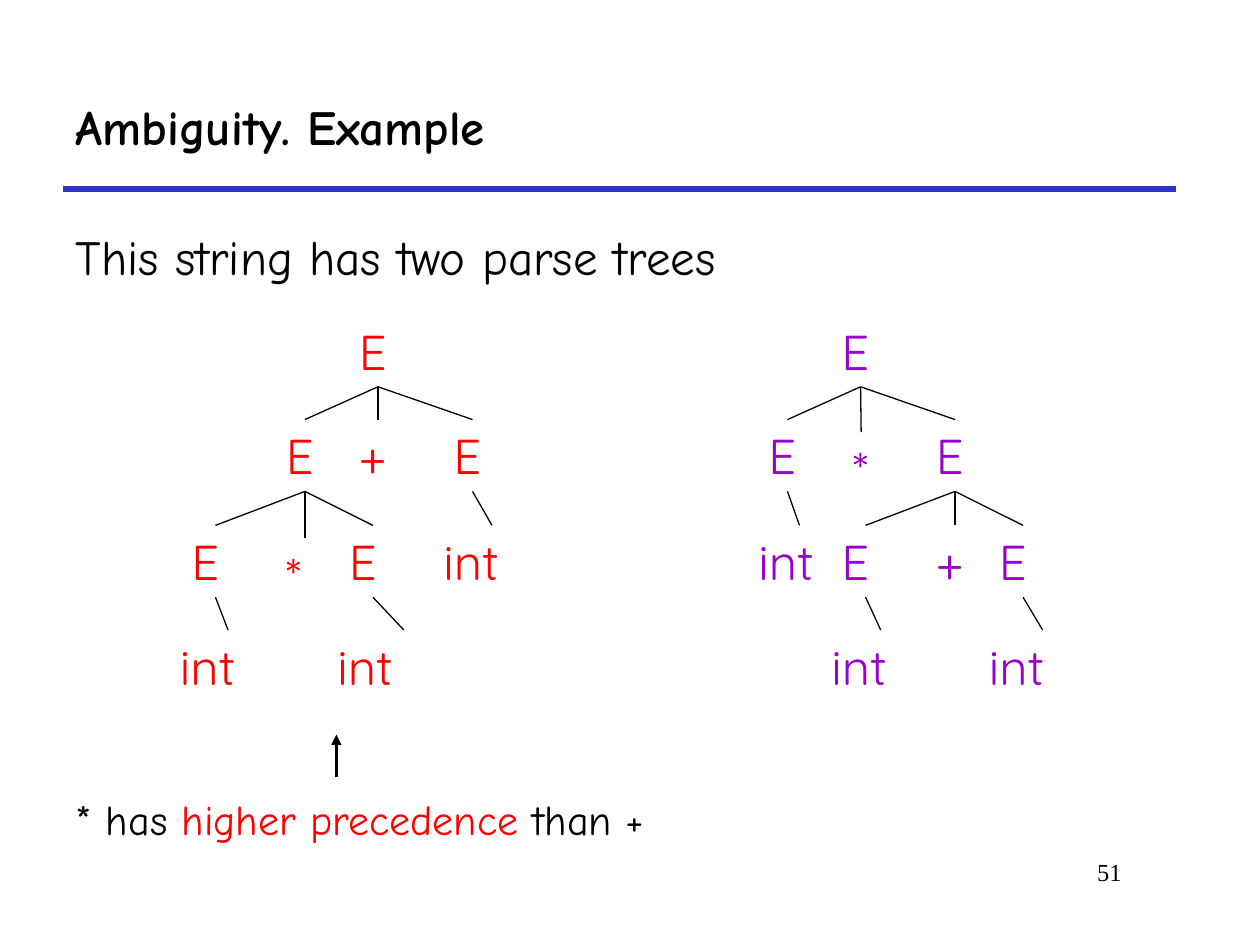
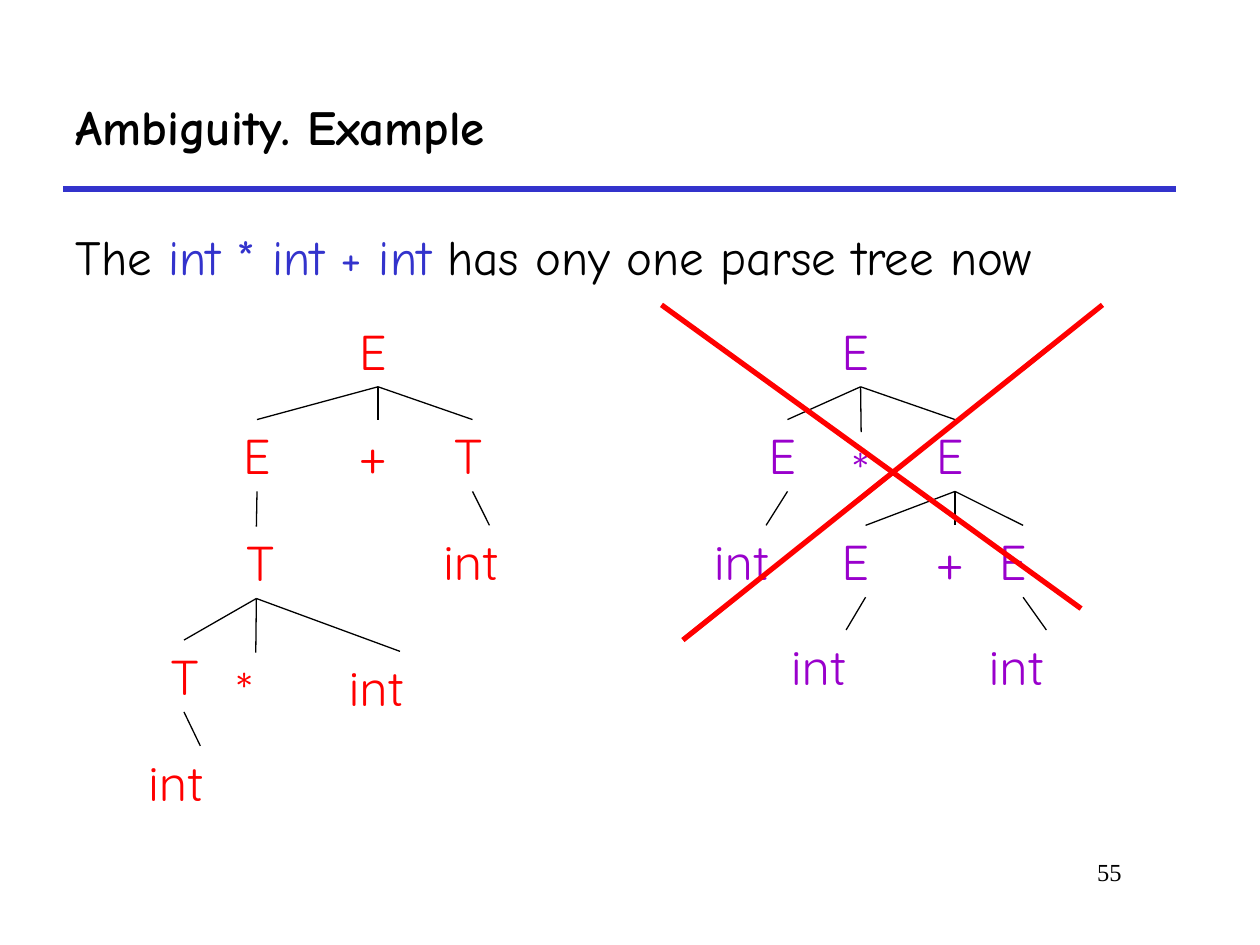
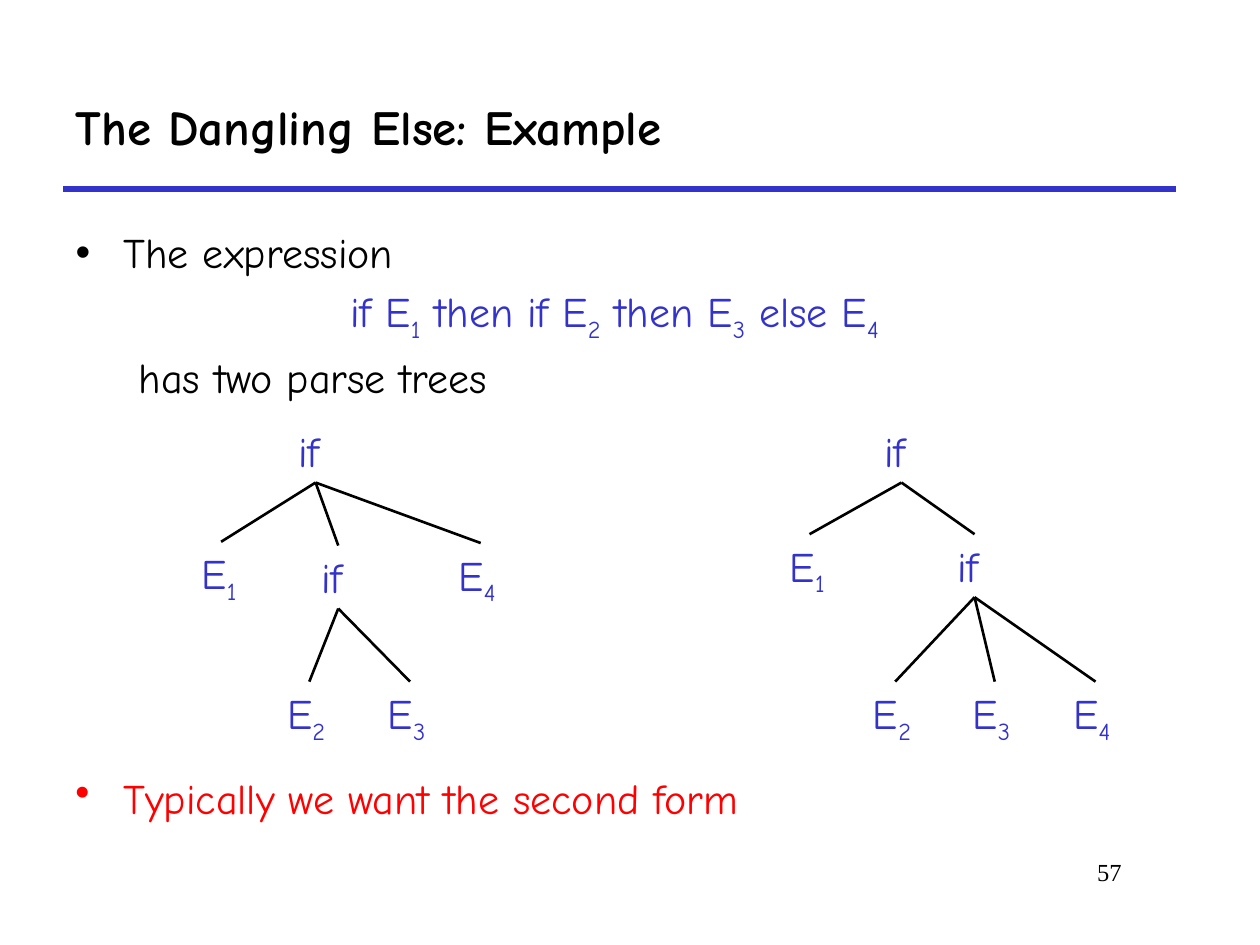
from lxml import etree
from pptx import Presentation
from pptx.dml.color import RGBColor
from pptx.enum.shapes import MSO_CONNECTOR as Conn
from pptx.enum.text import MSO_AUTO_SIZE as Auto, PP_ALIGN as Align
from pptx.oxml.ns import qn
from pptx.util import Inches, Pt

BLACK, BLUE, RED, PURPLE = "000000", "3333CC", "FF0000", "9900CC"
FACE, TREE_FACE, NUM_FACE = "Comic Neue", "Quicksand", "Times New Roman"


def write(para, parts, size, face=FACE, left=0, bullet=False):
    """Fill a paragraph from (text, colour) parts; _x_ marks a subscript x."""
    props = para._p.get_or_add_pPr()
    props.set("marL", str(Inches(left)))
    props.set("indent", str(-Inches(left) if bullet else 0))
    if bullet:
        etree.SubElement(props, qn("a:buChar")).set("char", "•")
    else:
        etree.SubElement(props, qn("a:buNone"))
    for text, color in parts:
        for i, chunk in enumerate(text.split("_")):
            if not chunk:
                continue
            run = para.add_run()
            run.text = chunk
            run.font.name = face
            run.font.size = Pt(size)
            run.font.color.rgb = RGBColor.from_string(color)
            if i % 2:
                run._r.get_or_add_rPr().set("baseline", "-25000")


def draw(slide, start, end, color, width, arrow=False):
    ends = [Inches(v) for v in (*start, *end)]
    link = slide.shapes.add_connector(Conn.STRAIGHT, *ends)
    link.line.color.rgb = RGBColor.from_string(color)
    link.line.width = Pt(width)
    if arrow:
        etree.SubElement(link.line._get_or_add_ln(), qn("a:tailEnd")).set("type", "triangle")
    etree.SubElement(link._element.spPr, qn("a:effectLst"))


# Tree nodes: parent index, text, left, top, width
product = [
    (None, "E", 6.58, 2.5, 0.5),
    (0, "E", 6, 3.33, 0.5),
    (0, "*", 6.67, 3.43, 0.33),
    (0, "E", 7.33, 3.33, 0.5),
    (3, "E", 6.58, 4.17, 0.58),
    (3, "+", 7.33, 4.17, 0.5),
    (3, "E", 7.83, 4.17, 0.58),
]
first_product = product + [
    (1, "int", 5.92, 4.17, 0.85),
    (4, "int", 6.5, 5, 0.98),
    (6, "int", 7.75, 5, 1.05),
]
crossed_product = product + [
    (1, "int", 5.57, 4.17, 1.02),
    (4, "int", 6.18, 5, 1.07),
    (6, "int", 7.75, 5, 1.11),
]
first_sum = [
    (None, "E", 2.75, 2.5, 0.5),
    (0, "E", 2.17, 3.33, 0.5),
    (0, "+", 2.75, 3.33, 0.5),
    (0, "E", 3.5, 3.33, 0.5),
    (1, "E", 1.42, 4.17, 0.58),
    (1, "*", 2.17, 4.27, 0.5),
    (1, "E", 2.67, 4.17, 0.58),
    (3, "int", 3.42, 4.17, 0.97),
    (4, "int", 1.33, 5, 0.96),
    (6, "int", 2.58, 5, 1.25),
]
layered_sum = [
    (None, "E", 2.75, 2.5, 0.5),
    (0, "E", 1.83, 3.33, 0.42),
    (0, "+", 2.75, 3.33, 0.5),
    (0, "T", 3.5, 3.33, 0.5),
    (1, "T", 1.85, 4.18, 0.37),
    (3, "int", 3.42, 4.17, 0.93),
    (4, "T", 1.25, 5.08, 0.42),
    (4, "*", 1.78, 5.18, 0.5),
    (4, "int", 2.67, 5.17, 1.01),
    (6, "int", 1.08, 5.92, 1.02),
]
outer_else = [
    (None, "if", 2.27, 3.33, 0.47),
    (0, "E_1_", 1.5, 4.3, 0.51),
    (0, "if", 2.45, 4.33, 0.47),
    (0, "E_4_", 3.54, 4.31, 0.55),
    (2, "E_2_", 2.18, 5.41, 0.55),
    (2, "E_3_", 2.98, 5.41, 0.55),
]
inner_else = [
    (None, "if", 6.92, 3.33, 0.47),
    (0, "E_1_", 6.17, 4.24, 0.51),
    (0, "if", 7.5, 4.24, 0.47),
    (2, "E_2_", 6.83, 5.41, 0.55),
    (2, "E_3_", 7.62, 5.41, 0.55),
    (2, "E_4_", 8.42, 5.41, 0.55),
]

# Body paragraphs: parts, size, left margin, bullet
two_trees = [([("This string has two parse trees", BLACK)], 28, 0, False)]
one_tree = [([("The ", BLACK), ("int * int + int", BLUE),
              (" has ony one parse tree now", BLACK)], 28, 0, False)]
dangling = [
    ([("The expression", BLACK)], 24, 0.38, True),
    ([("if E_1_ then if E_2_ then E_3_ else E_4_", BLUE)], 24, 2.18, False),
    ([("has two parse trees", BLACK)], 24, 0.5, False),
]

# Tree style: font, size, node height, line width
thin = (TREE_FACE, 28, 0.57, 0.75)
bold = (FACE, 24, 0.5, 1.5)

pages = [
    ("51", "Ambiguity. Example", two_trees, 4.83, thin,
     [(first_product, PURPLE), (first_sum, RED)]),
    ("55", "Ambiguity. Example", one_tree, 4.83, thin,
     [(crossed_product, PURPLE), (layered_sum, RED)]),
    ("57", "The Dangling Else: Example", dangling, 1.58, bold,
     [(inner_else, BLUE), (outer_else, BLUE)]),
]

prs = Presentation()
prs.slide_width, prs.slide_height = Inches(10), Inches(7.5)

for number, heading, items, depth, style, trees in pages:
    slide = prs.slides.add_slide(prs.slide_layouts[1])
    draw(slide, (0.5, 1.5), (9.33, 1.5), BLUE, 3)

    title, body = slide.placeholders
    title.left, title.top, title.width, title.height = map(Inches, (0.5, 0.5, 8.83, 1))
    para = title.text_frame.paragraphs[0]
    write(para, [(heading, BLACK)], 28)
    para.alignment = Align.LEFT
    para.runs[0].font.bold = True

    body.left, body.top, body.width, body.height = map(Inches, (0.5, 1.75, 9.08, depth))
    frame = body.text_frame
    frame.auto_size = Auto.NONE
    for i, (parts, size, left, bullet) in enumerate(items):
        para = frame.add_paragraph() if i else frame.paragraphs[0]
        para.space_before = Pt(4.8 if i else 0)
        write(para, parts, size, left=left, bullet=bullet)

    box = slide.shapes.add_textbox(*map(Inches, (7.58, 6.75, 1.42, 0.5)))
    para = box.text_frame.paragraphs[0]
    box.text_frame.word_wrap = True
    write(para, [(number, BLACK)], 14, NUM_FACE)
    para.alignment = Align.RIGHT

    face, size, height, width = style
    for nodes, color in trees:
        for parent, text, left, top, wide in nodes:
            box = slide.shapes.add_textbox(*map(Inches, (left, top, wide, height)))
            box.text_frame.word_wrap = True
            box.text_frame.margin_right = 0
            write(box.text_frame.paragraphs[0], [(text, color)], size, face)
            if parent is not None:
                _, _, x, y, w = nodes[parent]
                draw(slide, (x + w / 2, y + height), (left + wide / 2, top), BLACK, width)

first, second, third = prs.slides

# Precedence remark
note = first.shapes.add_textbox(*map(Inches, (0.5, 6.25, 5.03, 0.5)))
note.text_frame.word_wrap = True
note.text_frame.margin_right = 0
write(note.text_frame.paragraphs[0],
      [("* has ", BLACK), ("higher precedence", RED), (" than +", BLACK)], 24)
draw(first, (2.67, 6.17), (2.67, 5.83), BLACK, 1.5, arrow=True)

# Cross over the rejected tree
draw(second, (5.25, 2.42), (8.58, 4.83), RED, 3)
draw(second, (5.42, 5.08), (8.75, 2.42), RED, 3)

# Closing point
close = third.shapes.add_textbox(*map(Inches, (0.5, 6.08, 9.08, 0.5)))
close.text_frame.word_wrap = True
write(close.text_frame.paragraphs[0],
      [("Typically we want the second form", RED)], 24, left=0.38, bullet=True)

prs.save("out.pptx")
